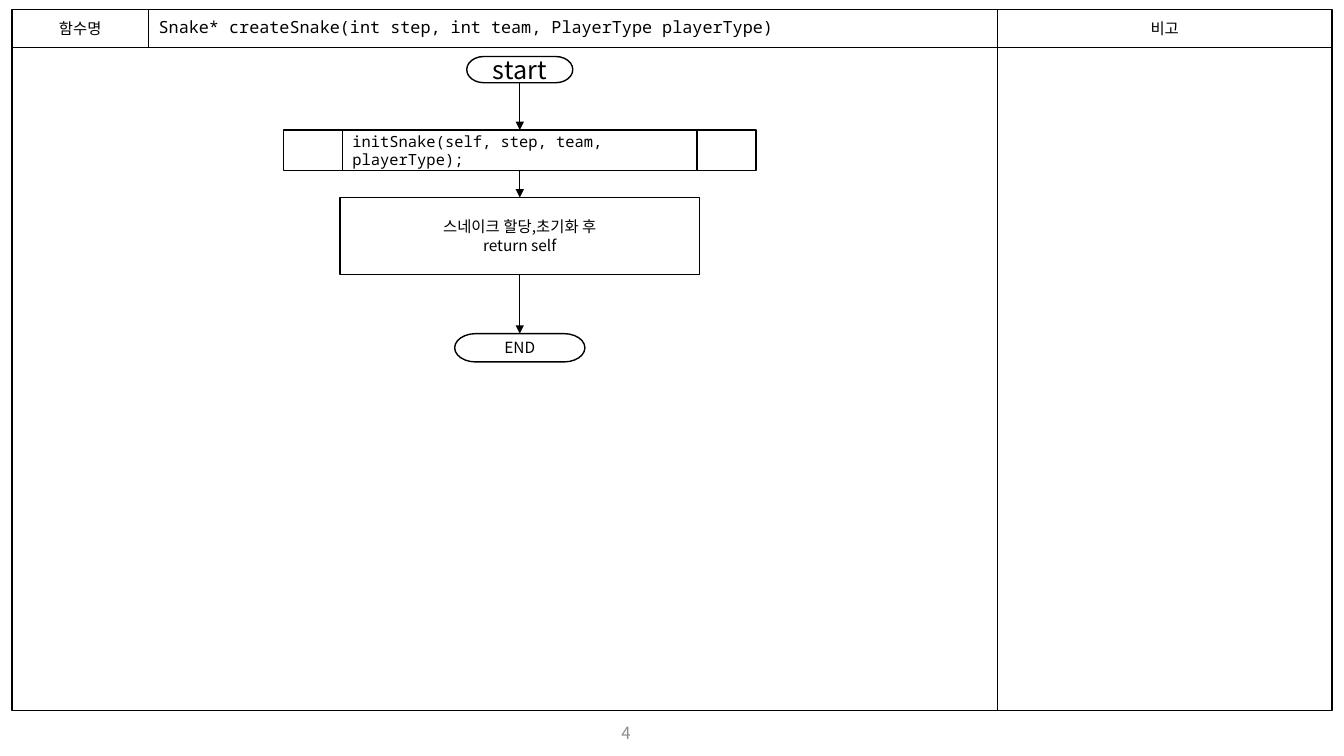
from dataclasses import dataclass

from lxml import etree
from pptx import Presentation
from pptx import util as u
from pptx.dml.color import RGBColor
from pptx.enum import shapes, text
from pptx.oxml.ns import qn


@dataclass(frozen=True)
class Theme:
    ink: str = "000000"
    paper: str = "FFFFFF"
    muted: str = "8C8C8C"
    sans: str = "Noto Sans CJK KR"
    mono: str = "Noto Sans Mono"
    body: float = 11
    title: float = 12
    start: float = 18
    thin: float = 0.75
    line: float = 1


THEME = Theme()
KIND = shapes.MSO_SHAPE
ALIGN = text.PP_ALIGN

SLIDE = (960, 540)
LEFT, TOP, BODY_TOP, BOTTOM = 8.5, 6.6, 33.9, 507.6
NAME_RIGHT, NOTES_LEFT, RIGHT = 106.2, 712.5, 951.5
FLOW_CENTER = 371.3

HEADERS = [
    (NAME_RIGHT, NOTES_LEFT, "Snake* createSnake(int step, int team, PlayerType playerType)",
     dict(font=THEME.mono, size=THEME.title, align=ALIGN.LEFT, spacing=0.9, weight=THEME.thin)),
    (LEFT, NAME_RIGHT, "함수명", {}),
    (NOTES_LEFT, RIGHT, "비고", {}),
]
COLUMNS = [(LEFT, NOTES_LEFT), (NOTES_LEFT, RIGHT)]
STEPS = [
    (KIND.FLOWCHART_TERMINATOR, 40.4, 75.8, 18.7, "start", dict(size=THEME.start)),
    (KIND.FLOWCHART_PREDEFINED_PROCESS, 92.9, 337.7, 28.8,
     "initSnake(self, step, team, playerType);", dict(font=THEME.mono, align=ALIGN.LEFT)),
    (KIND.RECTANGLE, 141.1, 257, 54.8, "스네이크 할당,초기화 후\nreturn self", {}),
    (KIND.FLOWCHART_TERMINATOR, 238.3, 93, 20.2, "END", {}),
]
PAGE_NUMBER = ("4", 339.1, 513.4, 216, 20.2)


def write(box, words, font=THEME.sans, size=THEME.body, color=THEME.ink,
          align=ALIGN.CENTER, spacing=None):
    frame = box.text_frame
    frame.word_wrap = True
    frame.vertical_anchor = text.MSO_ANCHOR.MIDDLE
    for index, line in enumerate(words.split("\n")):
        para = frame.add_paragraph() if index else frame.paragraphs[0]
        para.alignment = align
        if spacing:
            para.line_spacing = spacing
        span = para.add_run()
        span.text = line
        span.font.name = font
        span.font.size = u.Pt(size)
        span.font.color.rgb = RGBColor.from_string(color)
        east_asian = etree.SubElement(span.font._element, qn("a:ea"))
        east_asian.set("typeface", font)


def add_box(page, kind, left, top, width, height, words="", fill=None,
            weight=THEME.line, **style):
    box = page.shapes.add_shape(kind, *map(u.Pt, (left, top, width, height)))
    box.shadow.inherit = False
    if fill:
        box.fill.solid()
        box.fill.fore_color.rgb = RGBColor.from_string(fill)
    else:
        box.fill.background()
    box.line.color.rgb = RGBColor.from_string(THEME.ink)
    box.line.width = u.Pt(weight)
    if words:
        write(box, words, **style)
    return box


def add_arrow(page, upper, lower):
    arrow = page.shapes.add_connector(shapes.MSO_CONNECTOR.STRAIGHT, 0, 0, 0, 0)
    arrow.begin_connect(upper, 2)
    arrow.end_connect(lower, 0)
    arrow.line.color.rgb = RGBColor.from_string(THEME.ink)
    arrow.line.width = u.Pt(THEME.line)
    etree.SubElement(arrow.line._get_or_add_ln(), qn("a:tailEnd")).set("type", "triangle")
    etree.SubElement(arrow._element.spPr, qn("a:effectLst"))


def main():
    deck = Presentation()
    deck.slide_width, deck.slide_height = map(u.Pt, SLIDE)
    page = deck.slides.add_slide(deck.slide_layouts[6])

    for left, right, words, style in HEADERS:
        add_box(page, KIND.RECTANGLE, left, TOP, right - left, BODY_TOP - TOP, words, **style)
    for left, right in COLUMNS:
        add_box(page, KIND.RECTANGLE, left, BODY_TOP, right - left, BOTTOM - BODY_TOP)

    number, *place = PAGE_NUMBER
    write(page.shapes.add_textbox(*map(u.Pt, place)), number,
          size=THEME.title, color=THEME.muted)

    steps = [add_box(page, kind, FLOW_CENTER - width / 2, top, width, height, words,
                     fill=THEME.paper, **style)
             for kind, top, width, height, words, style in STEPS]
    for upper, lower in zip(steps, steps[1:]):
        add_arrow(page, upper, lower)

    deck.save("out.pptx")


if __name__ == "__main__":
    main()
